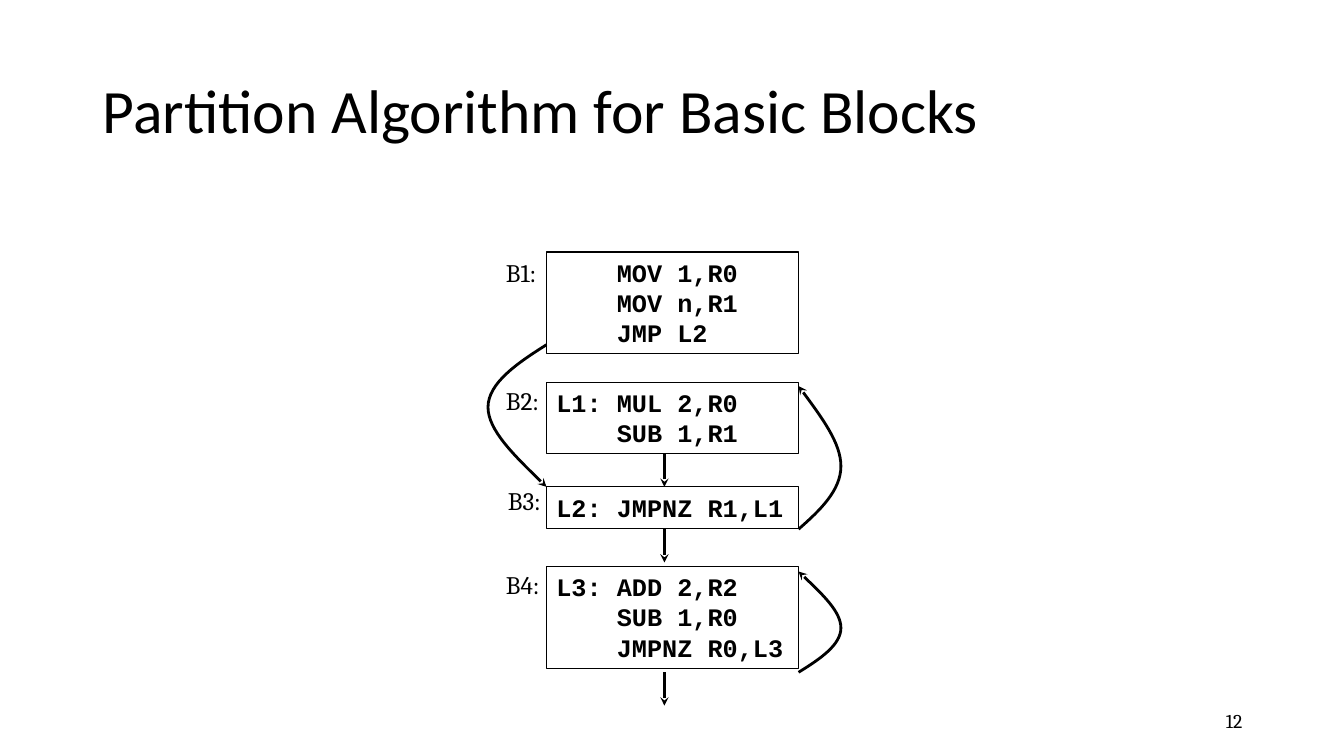
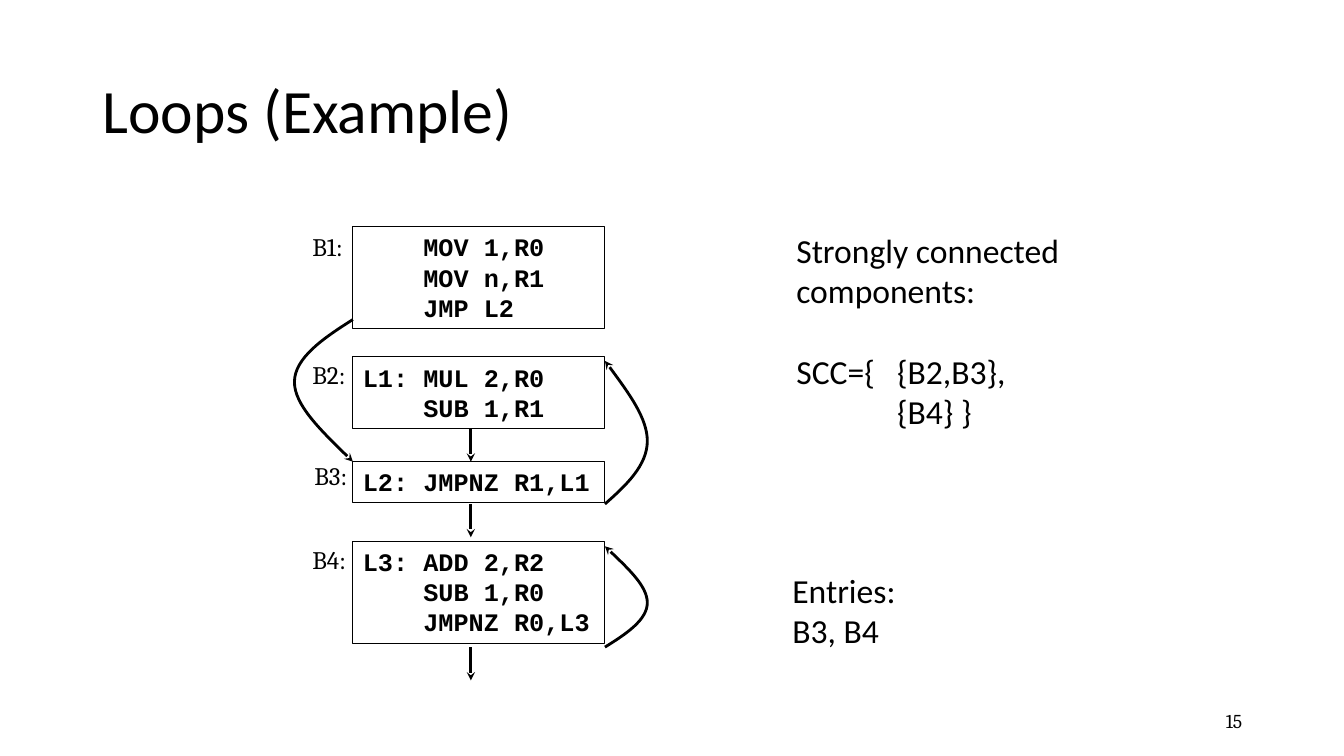
from pptx import Presentation
from pptx.dml.color import RGBColor
from pptx.enum.shapes import MSO_CONNECTOR as CONN, MSO_SHAPE as SHAPE
from pptx.enum.text import MSO_ANCHOR as ANCHOR, PP_ALIGN as ALIGN
from pptx.oxml import parse_xml
from pptx.oxml.ns import nsdecls, qn
from pptx.util import Inches, Pt

BLACK = "000000"
SANS, SERIF, MONO = "Calibri", "Cambria", "Courier New"

# Basic blocks: label, label offset from the block's corner, top, code lines
BLOCKS = [
    ("B1:", -0.5, 0, 0, ["    MOV 1,R0", "    MOV n,R1", "    JMP L2"]),
    ("B2:", -0.5, -0.02, 1.29, ["L1: MUL 2,R0", "    SUB 1,R1"]),
    ("B3:", -0.48, -0.06, 2.33, ["L2: JMPNZ R1,L1"]),
    ("B4:", -0.5, -0.02, 3.12,
     ["L3: ADD 2,R2", "    SUB 1,R0", "    JMPNZ R0,L3"]),
]
BLOCK_W, LINE_H, BLOCK_PAD = 2.5, 0.3, 0.11
FALL_X, FALL_H, FALLS = 1.17, 0.33, [2.0, 2.75, 4.17]
# Jumps: side of the blocks, start, end, bulge
JUMPS = [(0, 0.92, 2.33, -0.58), (BLOCK_W, 2.75, 1.33, 0.42),
         (BLOCK_W, 4.17, 3.17, 0.42)]
# Bezier points of a jump, as shares of its bulge and of its height
JUMP_CURVE = [(0, 0), (0.5, 0.13), (1, 0.27), (1, 0.44), (1, 0.6),
              (0.5, 0.8), (0, 1)]


def color(hex_value):
    return RGBColor.from_string(hex_value)


class Deck:
    def __init__(self):
        self.prs = Presentation()
        self.prs.slide_width, self.prs.slide_height = Inches(13.33), Inches(7.5)
        self.s = None

    def slide(self, title, number):
        self.s = self.prs.slides.add_slide(self.prs.slide_layouts[6])
        p = self.text(0.92, 0.4, 11.5, 1.45, [[title]], SANS, 44, ANCHOR.MIDDLE)
        p.line_spacing = 0.9
        p = self.text(9.42, 6.95, 3, 0.4, [[number]], SERIF, 14, ANCHOR.MIDDLE)
        p.alignment = ALIGN.RIGHT

    def fill_text(self, tf, paragraphs, font, size, bold=False):
        """Fill a frame; each paragraph is a list of lines."""
        for i, lines in enumerate(paragraphs):
            p = tf.add_paragraph() if i else tf.paragraphs[0]
            p.alignment = ALIGN.LEFT
            for j, line in enumerate(lines):
                if j:
                    p.add_line_break()
                r = p.add_run()
                r.text = line
                r.font.name, r.font.size, r.font.bold = font, Pt(size), bold
                r.font.color.rgb = color(BLACK)
        return p

    def text(self, x, y, w, h, paragraphs, font, size, anchor=ANCHOR.TOP):
        """Add a text box and return its last paragraph."""
        sp = self.s.shapes.add_textbox(Inches(x), Inches(y), Inches(w), Inches(h))
        tf = sp.text_frame
        tf.word_wrap, tf.vertical_anchor = True, anchor
        return self.fill_text(tf, paragraphs, font, size)

    def code_box(self, x, y, lines):
        h = BLOCK_PAD + LINE_H * len(lines)
        sp = self.s.shapes.add_shape(SHAPE.RECTANGLE, Inches(x), Inches(y),
                                     Inches(BLOCK_W), Inches(h))
        sp.shadow.inherit = False
        sp.fill.background()
        self.line(sp, 0.75)
        tf = sp.text_frame
        tf.word_wrap, tf.vertical_anchor = True, ANCHOR.TOP
        self.fill_text(tf, [lines], MONO, 18, bold=True)

    def line(self, sp, width, arrow=False):
        sp.line.color.rgb, sp.line.width = color(BLACK), Pt(width)
        if arrow:
            ln = sp.line._get_or_add_ln()
            ln.append(parse_xml(f'<a:tailEnd {nsdecls("a")} type="stealth"/>'))

    def arrow(self, x, y, length):
        c = self.s.shapes.add_connector(CONN.STRAIGHT, Inches(x), Inches(y),
                                        Inches(x), Inches(y + length))
        self.line(c, 2, arrow=True)
        c._element.spPr.append(parse_xml(f'<a:effectLst {nsdecls("a")}/>'))

    def jump(self, x, start, end, bulge):
        pts = [(Inches(x + bulge * u), Inches(start + (end - start) * v))
               for u, v in JUMP_CURVE]
        fb = self.s.shapes.build_freeform(*pts[0])
        fb.add_line_segments(pts[1:], close=False)
        sp = fb.convert_to_shape()
        # Each three segments become one Bezier curve
        outline = next(sp._element.iter(qn("a:path")))
        segments = outline.findall(qn("a:lnTo"))
        for i in range(0, len(segments), 3):
            curve = parse_xml(f'<a:cubicBezTo {nsdecls("a")}/>')
            for seg in segments[i:i + 3]:
                curve.append(seg[0])
                outline.remove(seg)
            outline.append(curve)
        sp.shadow.inherit = False
        sp.fill.background()
        self.line(sp, 2, arrow=True)

    def flow_graph(self, x, y):
        for label, dx, dy, top, lines in BLOCKS:
            self.code_box(x, y + top, lines)
            self.text(x + dx, y + top + dy, 0.56, 0.4, [[label]], SERIF, 18)
        for top in FALLS:
            self.arrow(x + FALL_X, y + top, FALL_H)
        for side, start, end, bulge in JUMPS:
            self.jump(x + side, y + start, y + end, bulge)


def main():
    deck = Deck()

    # Basic blocks
    deck.slide("Partition Algorithm for Basic Blocks", "12")
    deck.flow_graph(5.42, 2.5)

    # Loops
    deck.slide("Loops (Example)", "15")
    deck.flow_graph(3.5, 2.25)
    p = deck.text(7.8, 2.23, 3, 2.12,
                  [["Strongly connected", "components:"],
                   ["SCC={\t{B2,B3},", "\t{B4} }"]], SANS, 24)
    p._p.get_or_add_pPr().append(parse_xml(
        f'<a:tabLst {nsdecls("a")}><a:tab pos="{Inches(1)}" algn="l"/></a:tabLst>'))
    p.space_before = Pt(29)
    deck.text(7.76, 5.6, 1.5, 0.91, [["Entries:"], ["B3, B4"]], SANS, 24)

    deck.prs.save("out.pptx")


if __name__ == "__main__":
    main()
